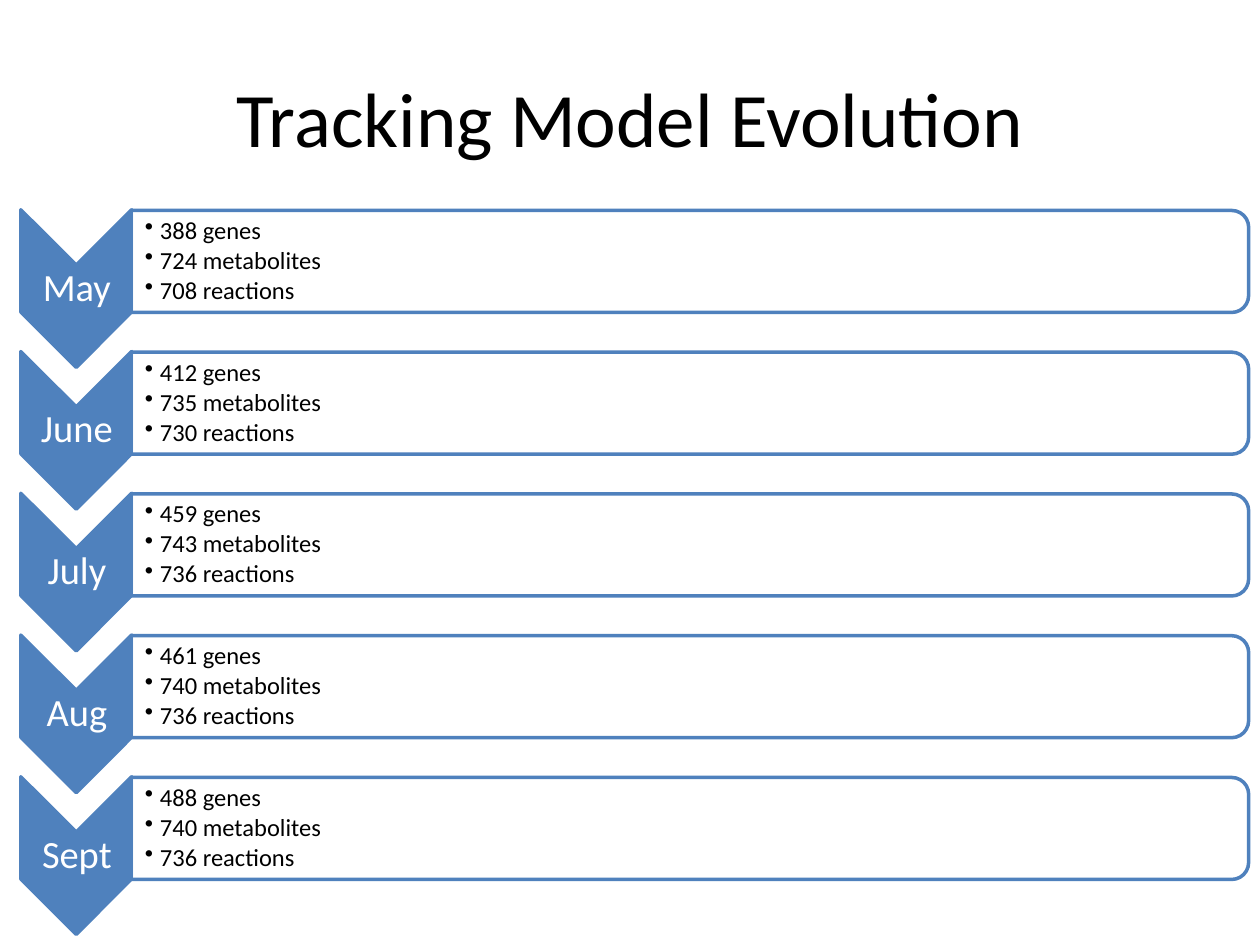
from dataclasses import dataclass

from lxml import etree
from pptx import Presentation
from pptx.dml.color import RGBColor
from pptx.enum.shapes import MSO_SHAPE
from pptx.enum.text import MSO_ANCHOR, PP_ALIGN
from pptx.oxml.ns import qn
from pptx.util import Inches, Pt

CHEVRON = MSO_SHAPE.CHEVRON
ROUNDED_TOP = MSO_SHAPE.ROUND_2_SAME_RECTANGLE
MIDDLE = MSO_ANCHOR.MIDDLE
CENTER = PP_ALIGN.CENTER
LEFT = PP_ALIGN.LEFT

COLORS = {"accent": "4F81BD", "panel": "FFFFFF", "label": "FFFFFF", "text": "000000"}
FONT = "Calibri"
FIRST_TOP = 1.85  # top of the first chevron before its rotation
PITCH = 1.125
BULLET_INDENT = 0.12


@dataclass
class Month:
    name: str
    genes: int
    metabolites: int
    reactions: int

    def facts(self) -> list[str]:
        return [f"{self.genes} genes", f"{self.metabolites} metabolites",
                f"{self.reactions} reactions"]


MONTHS = [
    Month("May", 388, 724, 708),
    Month("June", 412, 735, 730),
    Month("July", 459, 743, 736),
    Month("Aug", 461, 740, 736),
    Month("Sept", 488, 740, 736),
]


def style_font(font, size: int, color: str) -> None:
    font.name = FONT
    font.size = Pt(size)
    font.color.rgb = RGBColor.from_string(COLORS[color])


def add_turned_shape(slide, preset, left: float, top: float, width: float,
                     height: float, fill: str):
    shape = slide.shapes.add_shape(preset, Inches(left), Inches(top),
                                   Inches(width), Inches(height))
    shape.rotation = 90
    shape.shadow.inherit = False
    shape.fill.solid()
    shape.fill.fore_color.rgb = RGBColor.from_string(COLORS[fill])
    shape.line.color.rgb = RGBColor.from_string(COLORS["accent"])
    shape.line.width = Pt(2)
    return shape


def add_lines(slide, left: float, top: float, width: float, height: float,
              lines: list[str], size: int, color: str, align,
              left_inset: float, inset: float, space_after: int) -> list:
    box = slide.shapes.add_textbox(Inches(left), Inches(top),
                                   Inches(width), Inches(height))
    frame = box.text_frame
    frame.word_wrap = True
    frame.vertical_anchor = MIDDLE
    frame.margin_left = Inches(left_inset)
    frame.margin_top = frame.margin_right = frame.margin_bottom = Inches(inset)
    frame.text = "\n".join(lines)
    for paragraph in frame.paragraphs:
        paragraph.alignment = align
        paragraph.line_spacing = 0.9
        paragraph.space_after = Pt(space_after)
        style_font(paragraph.font, size, color)
    return list(frame.paragraphs)


def add_bullet(paragraph) -> None:
    paragraph.level = 1
    properties = paragraph._p.get_or_add_pPr()
    properties.set("marL", str(Inches(BULLET_INDENT)))
    properties.set("indent", str(-Inches(BULLET_INDENT)))
    bullet = etree.Element(qn("a:buChar"), char="•")
    properties.find(qn("a:defRPr")).addprevious(bullet)


def set_opacity(shape, percent: int) -> None:
    color = shape._element.spPr.find(qn("a:solidFill"))[0]
    etree.SubElement(color, qn("a:alpha"), val=str(percent * 1000))


def add_month(slide, month: Month, top: float) -> None:
    # Chevron with the month's name
    add_turned_shape(slide, CHEVRON, -0.02, top, 1.25, 0.88, "accent")
    add_lines(slide, 0.17, top + 0.25, 0.88, 0.38, [month.name], 22, "label",
              CENTER, 0.02, 0.02, 0)

    # Panel with the model's size
    panel = add_turned_shape(slide, ROUNDED_TOP, 5.07, top - 4.21, 0.81, 8.87, "panel")
    set_opacity(panel, 90)
    for paragraph in add_lines(slide, 1.04, top - 0.14, 8.83, 0.73, month.facts(),
                               14, "text", LEFT, 0.11, 0.01, 2):
        add_bullet(paragraph)


def main() -> None:
    presentation = Presentation()
    presentation.slide_width = Inches(10)
    presentation.slide_height = Inches(7.5)
    slide = presentation.slides.add_slide(presentation.slide_layouts[5])

    # Title
    title = slide.shapes.title
    title.left, title.top = Inches(0.5), Inches(0.3)
    title.width, title.height = Inches(9), Inches(1.25)
    title.text_frame.text = "Tracking Model Evolution"
    title.text_frame.vertical_anchor = MIDDLE
    heading = title.text_frame.paragraphs[0]
    heading.alignment = CENTER
    style_font(heading.font, 44, "text")

    # Timeline
    for row, month in enumerate(MONTHS):
        add_month(slide, month, FIRST_TOP + row * PITCH)

    presentation.save("out.pptx")


if __name__ == "__main__":
    main()
